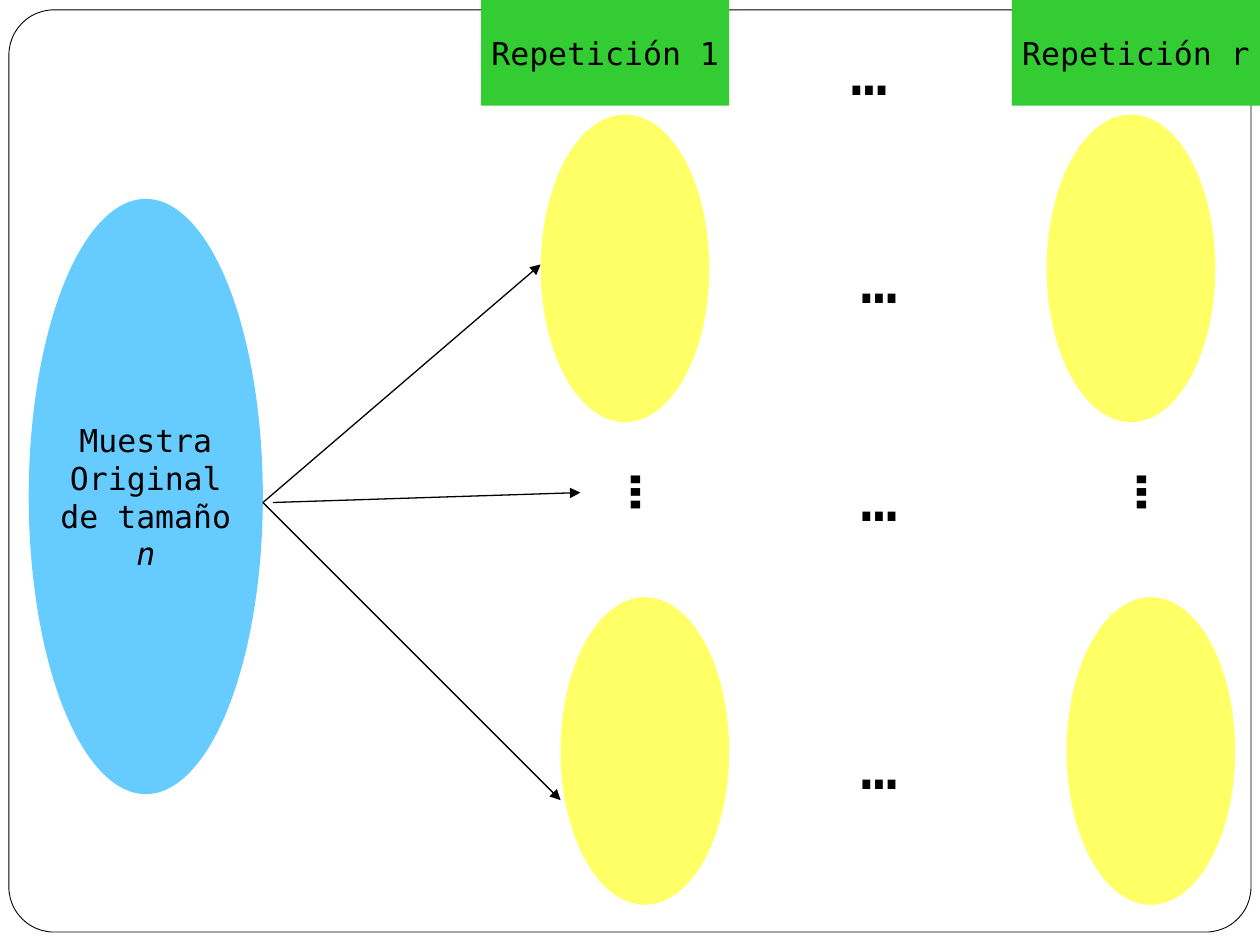
from lxml import etree
from pptx import Presentation
from pptx.dml.color import RGBColor
from pptx.enum.shapes import MSO_CONNECTOR, MSO_SHAPE
from pptx.enum.text import MSO_ANCHOR, MSO_AUTO_SIZE, PP_ALIGN
from pptx.oxml.ns import qn
from pptx.util import Cm, Pt

OVAL, RECT, ROUND = MSO_SHAPE.OVAL, MSO_SHAPE.RECTANGLE, MSO_SHAPE.ROUNDED_RECTANGLE
LINE = MSO_CONNECTOR.STRAIGHT
MID, CENTER, GROW = MSO_ANCHOR.MIDDLE, PP_ALIGN.CENTER, MSO_AUTO_SIZE.SHAPE_TO_FIT_TEXT
FONT = "DejaVu Sans Mono"
color = RGBColor.from_string

deck = Presentation()
deck.slide_width, deck.slide_height = Cm(25.4), Cm(19.05)
shapes = deck.slides.add_slide(deck.slide_layouts[6]).shapes


def add_block(kind, box, fill, lines=()):
    """Add a borderless filled shape with centred lines of text."""
    block = shapes.add_shape(kind, *map(Cm, box))
    block.shadow.inherit = False
    block.fill.solid()
    block.fill.fore_color.rgb = color(fill)
    block.line.fill.background()
    frame = block.text_frame
    frame.word_wrap = False
    frame.vertical_anchor = MID
    for i, text in enumerate(lines):
        para = frame.add_paragraph() if i else frame.paragraphs[0]
        para.alignment = CENTER
        write(para, text, 18)
    return block


def write(para, text, size):
    run = para.add_run()
    run.text = text
    run.font.name = FONT
    run.font.size = Pt(size)
    run.font.color.rgb = color("000000")


# Frame
frame = add_block(ROUND, (0.18, 0.2, 25.04, 18.59), "FFFFFF")
frame.adjustments[0] = 0.049
frame.line.color.rgb = color("000000")
frame.line.width = Pt(0.5)

# Original sample
sample = add_block(OVAL, (0.58, 4.01, 4.72, 12), "66CCFF",
                   ["Muestra", "Original", "de tamaño", "n"])
sample.text_frame.paragraphs[-1].runs[0].font.italic = True

# Arrows from the sample to the first column
for x, end_x, end_y in [(5.3, 10.9, 5.33), (5.5, 11.7, 9.93), (5.3, 11.3, 16.13)]:
    arrow = shapes.add_connector(LINE, Cm(x), Cm(10.13), Cm(end_x), Cm(end_y))
    arrow.line.color.rgb = color("000000")
    arrow.line.width = Pt(0.75)
    etree.SubElement(arrow.line._get_or_add_ln(), qn("a:tailEnd"), type="triangle")
    etree.SubElement(arrow._element.spPr, qn("a:effectLst"))

# Repetition columns
for name, head, shift in [("1", 9.7, 0), ("r", 20.4, 10.2)]:
    add_block(RECT, (head, 0, 5, 2.13), "33CC33", [f"Repetición {name}"])
    for x, y in [(10.9, 2.31), (11.3, 12.04)]:
        add_block(OVAL, (x + shift, y, 3.4, 6.2), "FFFF66")

# Ellipsis marks: left, top, rotation
marks = [(12.47, 9.3, 90), (22.67, 9.3, 90), (16.89, 0.53, 0),
         (17.09, 4.72, 0), (17.09, 9.12, 0), (17.09, 14.53, 0)]
for x, y, turn in marks:
    mark = shapes.add_textbox(Cm(x), Cm(y), Cm(1.65), Cm(1.63))
    mark.rotation = turn
    mark.text_frame.word_wrap = True
    mark.text_frame.auto_size = GROW
    write(mark.text_frame.paragraphs[0], "…", 36)

deck.save("out.pptx")
